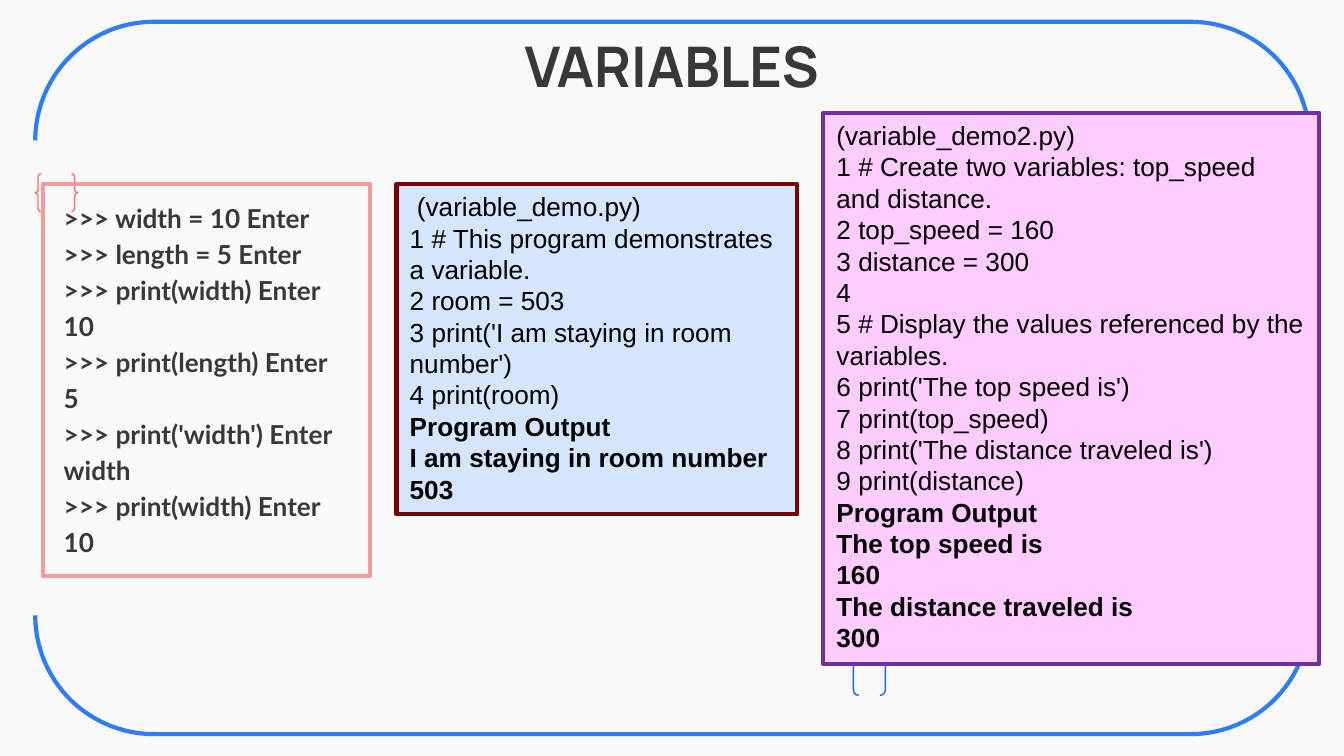
from dataclasses import dataclass

from lxml.etree import SubElement
from pptx import Presentation
from pptx.dml.color import RGBColor
from pptx.enum.shapes import MSO_SHAPE
from pptx.enum.text import MSO_ANCHOR, PP_ALIGN
from pptx.oxml.ns import qn
from pptx.util import Pt


@dataclass(frozen=True)
class Theme:
    background: str = "F9F9F9"
    ink: str = "383838"
    code: str = "000000"
    frame: str = "2E7DF4"
    bracket: str = "0E66EB"
    brace: str = "FF6E6B"
    session_line: str = "F29B9A"
    room_line: str = "780000"
    room_fill: str = "D5E5FD"
    speed_line: str = "7030A0"
    speed_fill: str = "FFCCFF"
    title_size: float = 30
    text_size: float = 14
    title_font: str = "Manrope"
    body_font: str = "Lato"
    code_font: str = "Arial"
    thick: float = 2.25
    thin: float = 0.75


@dataclass(frozen=True)
class Box:
    left: float
    top: float
    width: float
    height: float


@dataclass(frozen=True)
class Outline:
    kind: MSO_SHAPE
    box: Box
    line: str
    weight: float
    rotation: float = 0
    fill: str | None = None


@dataclass(frozen=True)
class Listing:
    outline: Outline
    code: tuple[str, ...]
    output: tuple[str, ...]


THEME = Theme()

DECORATIONS = (
    Outline(MSO_SHAPE.DOUBLE_BRACKET, Box(169.4, -138.8, 381.6, 682.6),
            THEME.frame, THEME.thick, rotation=90),
    Outline(MSO_SHAPE.DOUBLE_BRACKET, Box(457.2, 352.3, 17.1, 20.2), THEME.bracket, THEME.thin),
    Outline(MSO_SHAPE.DOUBLE_BRACE, Box(18.7, 93.1, 23, 20.2), THEME.brace, THEME.thin),
)

SESSION_FRAME = Outline(MSO_SHAPE.RECTANGLE, Box(23, 98.6, 175.4, 210.2),
                        THEME.session_line, THEME.thick)

SESSION = (
    ">>> width = 10 Enter",
    ">>> length = 5 Enter",
    ">>> print(width) Enter",
    "10",
    ">>> print(length) Enter",
    "5",
    ">>> print('width') Enter",
    "width",
    ">>> print(width) Enter",
    "10",
)

LISTINGS = (
    Listing(
        Outline(MSO_SHAPE.RECTANGLE, Box(212.4, 98.6, 214.6, 177),
                THEME.room_line, THEME.thick, fill=THEME.room_fill),
        (
            " (variable_demo.py)",
            "1 # This program demonstrates a variable.",
            "2 room = 503",
            "3 print('I am staying in room number')",
            "4 print(room)",
        ),
        ("Program Output", "I am staying in room number", "503"),
    ),
    Listing(
        Outline(MSO_SHAPE.RECTANGLE, Box(441, 60.5, 265.7, 295.2),
                THEME.speed_line, THEME.thick, fill=THEME.speed_fill),
        (
            "(variable_demo2.py)",
            "1 # Create two variables: top_speed and distance.",
            "2 top_speed = 160",
            "3 distance = 300",
            "4",
            "5 # Display the values referenced by the variables.",
            "6 print('The top speed is')",
            "7 print(top_speed)",
            "8 print('The distance traveled is')",
            "9 print(distance)",
        ),
        ("Program Output", "The top speed is", "160", "The distance traveled is", "300"),
    ),
)


def place(sp, box: Box) -> None:
    sp.left, sp.top = Pt(box.left), Pt(box.top)
    sp.width, sp.height = Pt(box.width), Pt(box.height)


def set_frame(tf, inset_x: float, inset_y: float) -> None:
    tf.word_wrap = True
    tf.vertical_anchor = MSO_ANCHOR.TOP
    tf.margin_left = tf.margin_right = Pt(inset_x)
    tf.margin_top = tf.margin_bottom = Pt(inset_y)


def write(tf, text: str, *, font: str, size: float, color: str, bold: bool = False,
          align=PP_ALIGN.LEFT, spacing: float = 1, indent: float = 0) -> None:
    """Add one unbulleted paragraph, filling the empty first one if there is one."""
    p = tf.paragraphs[0] if not tf.text else tf.add_paragraph()
    p.alignment = align
    p.line_spacing = spacing
    p.space_before = p.space_after = Pt(0)
    pPr = p._p.get_or_add_pPr()
    pPr.set("marL", str(Pt(indent)))
    pPr.set("indent", "0")
    SubElement(pPr, qn("a:buNone"))
    r = p.add_run()
    r.text = text
    r.font.name = font
    r.font.size = Pt(size)
    r.font.bold = bold
    r.font.color.rgb = RGBColor.from_string(color)


def draw_outline(slide, outline: Outline):
    box = outline.box
    sp = slide.shapes.add_shape(outline.kind, Pt(box.left), Pt(box.top),
                                Pt(box.width), Pt(box.height))
    sp.rotation = outline.rotation
    sp.shadow.inherit = False
    sp.line.color.rgb = RGBColor.from_string(outline.line)
    sp.line.width = Pt(outline.weight)
    if outline.fill:
        sp.fill.solid()
        sp.fill.fore_color.rgb = RGBColor.from_string(outline.fill)
    else:
        sp.fill.background()
    return sp


def draw_listing(slide, listing: Listing) -> None:
    tf = draw_outline(slide, listing.outline).text_frame
    set_frame(tf, 7.2, 3.6)
    for lines, bold in ((listing.code, False), (listing.output, True)):
        for line in lines:
            write(tf, line, font=THEME.code_font, size=THEME.text_size,
                  color=THEME.code, bold=bold)


def main() -> None:
    prs = Presentation()
    prs.slide_width, prs.slide_height = Pt(720), Pt(405)
    slide = prs.slides.add_slide(prs.slide_layouts[1])
    slide.background.fill.solid()
    slide.background.fill.fore_color.rgb = RGBColor.from_string(THEME.background)

    for decoration in DECORATIONS:
        draw_outline(slide, decoration)

    title, body = slide.placeholders
    place(title, Box(56.4, 9.6, 607, 45.4))
    set_frame(title.text_frame, 7.2, 7.2)
    write(title.text_frame, "VARIABLES", font=THEME.title_font, size=THEME.title_size,
          color=THEME.ink, bold=True, align=PP_ALIGN.CENTER)

    place(body, Box(16.1, 98.6, 607, 252))
    set_frame(body.text_frame, 7.2, 7.2)
    for line in SESSION:
        write(body.text_frame, line, font=THEME.body_font, size=THEME.text_size,
              color=THEME.ink, bold=True, spacing=1.15, indent=10.8)

    draw_outline(slide, SESSION_FRAME)
    for listing in LISTINGS:
        draw_listing(slide, listing)

    prs.save("out.pptx")


if __name__ == "__main__":
    main()
